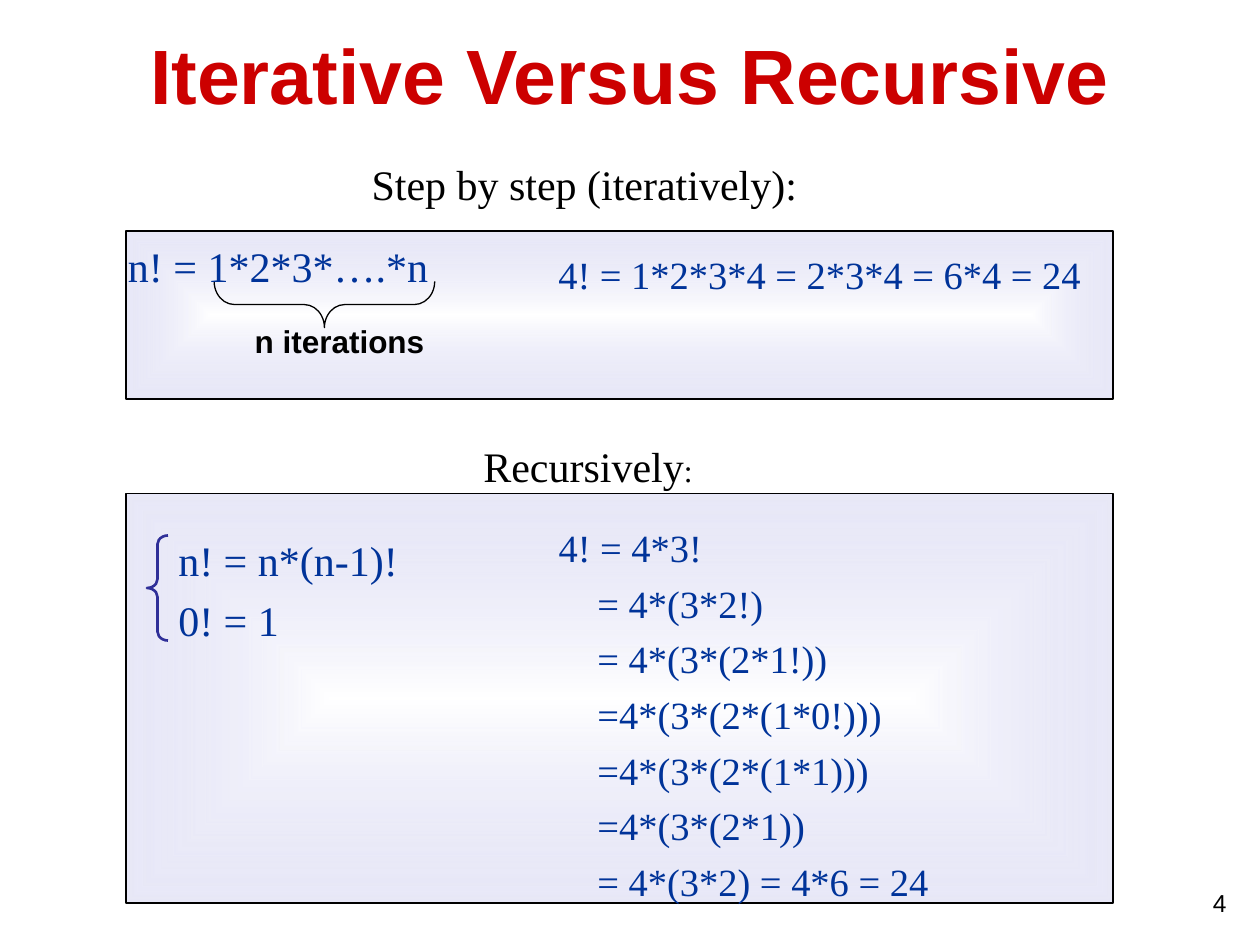
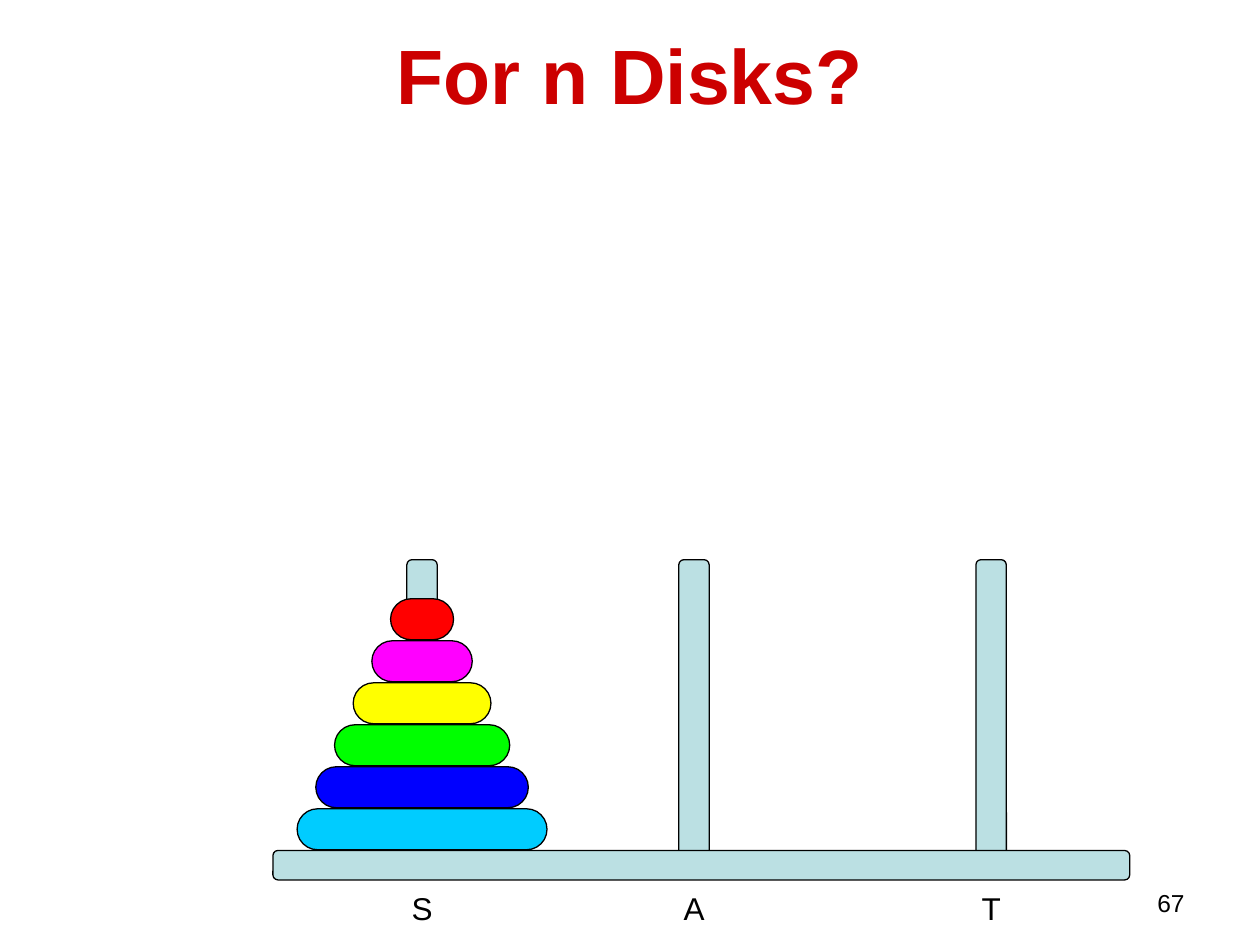
from typing import NamedTuple

from lxml import etree
from pptx import Presentation
from pptx.dml.color import RGBColor
from pptx.enum.shapes import MSO_SHAPE
from pptx.enum.text import MSO_ANCHOR, MSO_AUTO_SIZE, PP_ALIGN
from pptx.oxml import parse_xml
from pptx.oxml.ns import nsdecls, qn
from pptx.util import Inches, Pt

LEFT, MID, RIGHT = PP_ALIGN.LEFT, PP_ALIGN.CENTER, PP_ALIGN.RIGHT
TOP, CENTRE = MSO_ANCHOR.TOP, MSO_ANCHOR.MIDDLE
FIXED = MSO_AUTO_SIZE.NONE
RECT, ROUND = MSO_SHAPE.RECTANGLE, MSO_SHAPE.ROUNDED_RECTANGLE
BRACE = MSO_SHAPE.LEFT_BRACE

BLACK = RGBColor(0x00, 0x00, 0x00)
RED = RGBColor(0xCC, 0x00, 0x00)
NAVY = RGBColor(0x00, 0x33, 0x99)
INDIGO = RGBColor(0x2F, 0x2F, 0x98)
WHITE = RGBColor(0xFF, 0xFF, 0xFF)
LILAC = RGBColor(0xD1, 0xD1, 0xF0)
TEAL = RGBColor(0xBB, 0xE0, 0xE3)
DISKS = (
    RGBColor(0x00, 0xCC, 0xFF),
    RGBColor(0x00, 0x00, 0xFF),
    RGBColor(0x00, 0xFF, 0x00),
    RGBColor(0xFF, 0xFF, 0x00),
    RGBColor(0xFF, 0x00, 0xFF),
    RGBColor(0xFF, 0x00, 0x00),
)

WIDTH, HEIGHT = Inches(10), Inches(7.5)
COLS, ROWS = 120, 90
SANS, SERIF = "Arial", "Times New Roman"


class Box(NamedTuple):
    col: float
    row: float
    wide: float
    high: float

    def place(self) -> tuple[int, int, int, int]:
        return (
            round(self.col * WIDTH / COLS),
            round(self.row * HEIGHT / ROWS),
            round(self.wide * WIDTH / COLS),
            round(self.high * HEIGHT / ROWS),
        )


class Style(NamedTuple):
    size: float
    color: RGBColor = BLACK
    font: str = SERIF
    bold: bool = False
    align: PP_ALIGN = LEFT


class Run(NamedTuple):
    text: str
    size: float = 0


class Line(NamedTuple):
    runs: tuple[Run, ...]
    inset: float = 0


class Note(NamedTuple):
    box: Box
    style: Style
    lines: tuple[Line, ...]


TITLE = Style(44, RED, SANS, True, MID)
PAGE = Style(14, font=SANS, align=RIGHT)
HEAD = Style(24)
RULE = Style(24, NAVY)
SUM = Style(22, NAVY)
TAG = Style(18, font=SANS, bold=True, align=RIGHT)
PEG = Style(18, font=SANS, align=MID)
TITLE_BOX = Box(6, 0, 108, 14)
GAP = Pt(5.4)


def line(text: str, inset: float = 0) -> Line:
    return Line((Run(text),), inset)


STEPS = (
    line("4! = 4*3!"),
    *(
        line(text, 3.7)
        for text in (
            "= 4*(3*2!)",
            "= 4*(3*(2*1!))",
            "=4*(3*(2*(1*0!)))",
            "=4*(3*(2*(1*1)))",
            "=4*(3*(2*1))",
            "= 4*(3*2) = 4*6 = 24",
        )
    ),
)
PANELS = (Box(12, 47, 94, 39), Box(12, 22, 94, 16))
NOTES = (
    Note(Box(52, 23.3, 54, 15), SUM, (line("4! = 1*2*3*4 = 2*3*4 = 6*4 = 24"),)),
    Note(Box(11, 22.3, 33, 6), RULE, (line("n! = 1*2*3*….*n"),)),
    Note(Box(17, 30.1, 24.6, 4.8), TAG, (line("n iterations"),)),
    Note(Box(15.8, 50.3, 33, 12), RULE, (line("n! = n*(n-1)!"), line("0! = 1"))),
    Note(Box(34.2, 14.5, 50, 6), HEAD, (line("Step by step (iteratively):"),)),
    Note(
        Box(37, 41.4, 38, 6),
        HEAD._replace(align=MID),
        (Line((Run("Recursively"), Run(":", 18))),),
    ),
)


def write(shape, note: Note, anchor=TOP) -> None:
    shape.left, shape.top, shape.width, shape.height = note.box.place()
    frame = shape.text_frame
    frame.word_wrap = True
    frame.auto_size = FIXED
    frame.vertical_anchor = anchor
    style = note.style
    for rank, item in enumerate(note.lines):
        para = frame.add_paragraph() if rank else frame.paragraphs[0]
        prop = para._p.get_or_add_pPr()
        prop.set("marL", str(round(item.inset * WIDTH / COLS)))
        prop.set("indent", "0")
        etree.SubElement(prop, qn("a:buNone"))
        para.alignment = style.align
        para.line_spacing = 1.0
        para.space_before = GAP if rank else Pt(0)
        for part in item.runs:
            run = para.add_run()
            run.text = part.text
            run.font.name = style.font
            run.font.size = Pt(part.size or style.size)
            run.font.bold = style.bold
            run.font.color.rgb = style.color


def add_note(slide, note: Note) -> None:
    write(slide.shapes.add_textbox(*note.box.place()), note)


def add_form(slide, kind, box: Box, fill=None, edge=BLACK, thick=0.75, bend=None):
    form = slide.shapes.add_shape(kind, *box.place())
    form.shadow.inherit = False
    if fill is None:
        form.fill.background()
    else:
        form.fill.solid()
        form.fill.fore_color.rgb = fill
    form.line.color.rgb = edge
    form.line.width = Pt(thick)
    if bend is not None:
        form.adjustments[0] = bend
    return form


def add_panel(slide, box: Box) -> None:
    prop = add_form(slide, RECT, box)._element.spPr
    glow = parse_xml(
        f'<a:gradFill {nsdecls("a")} rotWithShape="1"><a:gsLst>'
        f'<a:gs pos="0"><a:srgbClr val="{WHITE}"/></a:gs>'
        f'<a:gs pos="100000"><a:srgbClr val="{LILAC}">'
        '<a:alpha val="49000"/></a:srgbClr></a:gs></a:gsLst>'
        '<a:path path="rect"><a:fillToRect l="50000" t="50000" '
        'r="50000" b="50000"/></a:path></a:gradFill>'
    )
    prop.replace(prop.find(qn("a:noFill")), glow)


def start(deck, layout: int, title: str, page: str, col: float):
    slide = deck.slides.add_slide(deck.slide_layouts[layout])
    write(slide.shapes.title, Note(TITLE_BOX, TITLE, (line(title),)), CENTRE)
    add_note(slide, Note(Box(col, 84, 28, 3), PAGE, (line(page),)))
    return slide


def add_versus(deck) -> None:
    slide = start(deck, 1, "Iterative Versus Recursive", "4", 90)
    for box in PANELS:
        add_panel(slide, box)
    body = slide.placeholders[1]
    write(body, Note(Box(52, 49.3, 53, 37), SUM, STEPS))
    slide.shapes._spTree.append(body._element)
    span = add_form(slide, BRACE, Box(28.7, 18.5, 4.4, 21), bend=0.44)
    span.rotation = 270
    add_form(slide, BRACE, Box(14, 51, 2, 10), None, INDIGO, 1.5, 0.42)
    for note in NOTES:
        add_note(slide, note)


def add_tower(deck) -> None:
    slide = start(deck, 5, "For n Disks?", "67", 86)
    pegs = {"S": 40.2, "A": 66.1, "T": 94.4}
    for name, mid in pegs.items():
        add_form(slide, ROUND, Box(mid - 1.45, 53.3, 2.9, 29.4), TEAL, bend=0.17)
        add_note(slide, Note(Box(mid - 4.6, 84.1, 9.2, 4.8), PEG, (line(name),)))
    add_form(slide, ROUND, Box(26, 81, 81.6, 2.8), TEAL, bend=0.17)
    for rank, color in enumerate(DISKS):
        wide = 23.8 - 3.56 * rank
        box = Box(pegs["S"] - wide / 2, 77 - 4 * rank + 0.03, wide, 3.9)
        add_form(slide, ROUND, box, color, bend=0.5)


def main() -> None:
    deck = Presentation()
    deck.slide_width, deck.slide_height = WIDTH, HEIGHT
    add_versus(deck)
    add_tower(deck)
    deck.save("out.pptx")


if __name__ == "__main__":
    main()
